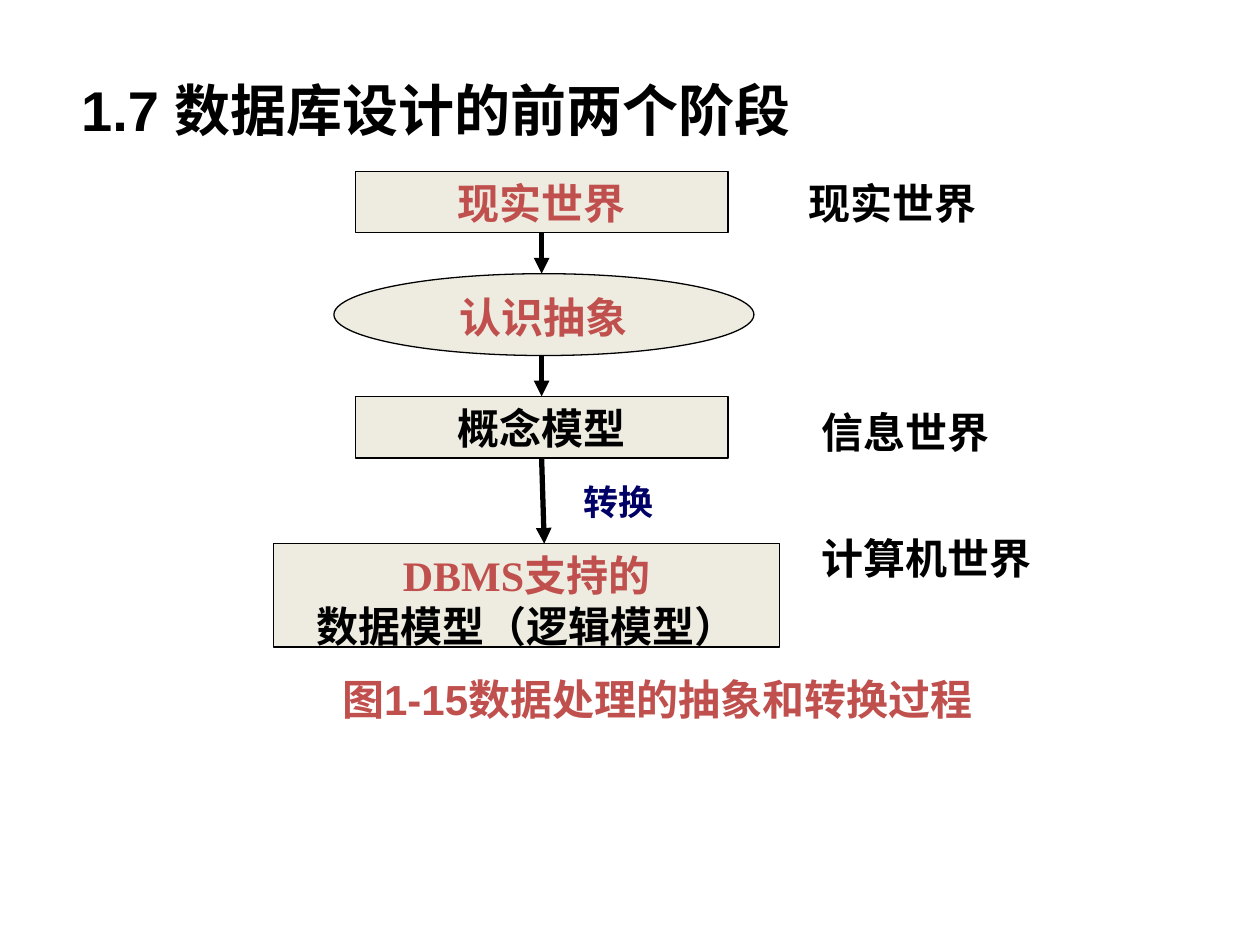
import pptx
import pptx.util
import pptx.dml.color
import pptx.oxml
import pptx.enum.shapes
import pptx.enum.text
from lxml import etree

Pt = pptx.util.Pt
RGBColor = pptx.dml.color.RGBColor
SHAPE = pptx.enum.shapes.MSO_SHAPE
STRAIGHT = pptx.enum.shapes.MSO_CONNECTOR.STRAIGHT
ALIGN = pptx.enum.text.PP_ALIGN
TOP = pptx.enum.text.MSO_ANCHOR.TOP
qn = pptx.oxml.ns.qn

BLACK = RGBColor(0x00, 0x00, 0x00)
RED = RGBColor(0xC0, 0x50, 0x4D)
NAVY = RGBColor(0x00, 0x00, 0x66)
CREAM = RGBColor(0xEE, 0xEC, 0xE1)
SERIF = "Times New Roman"
SANS = "Arial"


def write(frame, text, colors, font=SERIF, size=24, align=ALIGN.LEFT):
    """Fill a frame with bold text, one colour for each paragraph."""
    frame.text = text
    frame.word_wrap = True
    frame.vertical_anchor = TOP
    for paragraph, color in zip(frame.paragraphs, colors):
        paragraph.alignment = align
        for run in paragraph.runs:
            run.font.name = font
            run.font.size = Pt(size)
            run.font.bold = True
            run.font.color.rgb = color


def add_label(slide, box, text, color=BLACK, **style):
    label = slide.shapes.add_textbox(*map(Pt, box))
    write(label.text_frame, text, [color], **style)


def add_node(slide, kind, box, text, colors):
    node = slide.shapes.add_shape(kind, *map(Pt, box))
    node.shadow.inherit = False
    node.fill.solid()
    node.fill.fore_color.rgb = CREAM
    node.line.color.rgb = BLACK
    node.line.width = Pt(0.75)
    write(node.text_frame, text, colors, align=ALIGN.CENTER)
    return node


def add_arrow(slide, start, end):
    arrow = slide.shapes.add_connector(STRAIGHT, *map(Pt, start + end))
    arrow.line.color.rgb = BLACK
    arrow.line.width = Pt(3)
    etree.SubElement(arrow.line._get_or_add_ln(), qn("a:tailEnd"), type="triangle")
    etree.SubElement(arrow._element.spPr, qn("a:effectLst"))
    return arrow


def add_title(slide, left, top, width, height):
    title = slide.shapes.title
    title.left, title.top, title.width, title.height = map(
        Pt, (left, top, width, height))
    write(title.text_frame, "1.7 数据库设计的前两个阶段", [BLACK], SANS, 32)
    title.text_frame.margin_left = Pt(16.2)


def add_flow(slide, left, top, width):
    """Steps from the real world down to the logical model."""
    step_w, step_h, gap = 213, 35.2, 23.3
    step_left = left + 46.8
    axis = step_left + step_w / 2
    abstraction_top = top + step_h + gap
    abstraction_h = 46.8
    concept_top = abstraction_top + abstraction_h + gap
    logical_top = concept_top + step_h + 49

    # Steps
    real_world = add_node(slide, SHAPE.RECTANGLE,
                          (step_left, top, step_w, step_h), "现实世界", [RED])
    add_node(slide, SHAPE.OVAL,
             (left + 34.6, abstraction_top, 240, abstraction_h), "认识抽象", [RED])
    concept = add_node(slide, SHAPE.RECTANGLE,
                       (step_left, concept_top, step_w, step_h), "概念模型", [BLACK])
    add_node(slide, SHAPE.RECTANGLE, (left, logical_top, width, 59),
             "DBMS支持的\n数据模型（逻辑模型）", [RED, BLACK])

    # Arrows
    to_abstraction = add_arrow(slide, (axis, top + step_h), (axis, abstraction_top))
    to_abstraction.begin_connect(real_world, 2)
    to_concept = add_arrow(slide, (axis, concept_top - gap), (axis, concept_top))
    to_concept.end_connect(concept, 0)
    to_logical = add_arrow(slide, (axis, concept_top + step_h),
                           (axis + 1.5, logical_top))
    to_logical.begin_connect(concept, 2)

    # Label of the conversion arrow
    add_label(slide, (left + 170, concept_top + 44.8, 56, 31.7), "转换",
              NAVY, font=SANS, size=20)


def add_worlds(slide, left, top, width):
    """Names of the worlds, beside the steps that belong to them."""
    worlds = [("现实世界", 0, 0), ("信息世界", 7.2, 131), ("计算机世界", 7.2, 203)]
    for world, indent, drop in worlds:
        add_label(slide, (left + indent, top + drop, width - indent, 65.5), world)


def main():
    presentation = pptx.Presentation()
    presentation.slide_width, presentation.slide_height = Pt(720), Pt(540)
    slide = presentation.slides.add_slide(presentation.slide_layouts[5])
    add_title(slide, 30.2, 39.6, 493.2, 46)
    add_flow(slide, 156.2, 97.9, 289.4)
    add_worlds(slide, 455, 97.9, 171.4)
    # Caption
    add_label(slide, (186.5, 381.6, 378, 36), "图1-15数据处理的抽象和转换过程",
              RED, font=SANS, align=ALIGN.CENTER)
    presentation.save("out.pptx")


if __name__ == "__main__":
    main()
